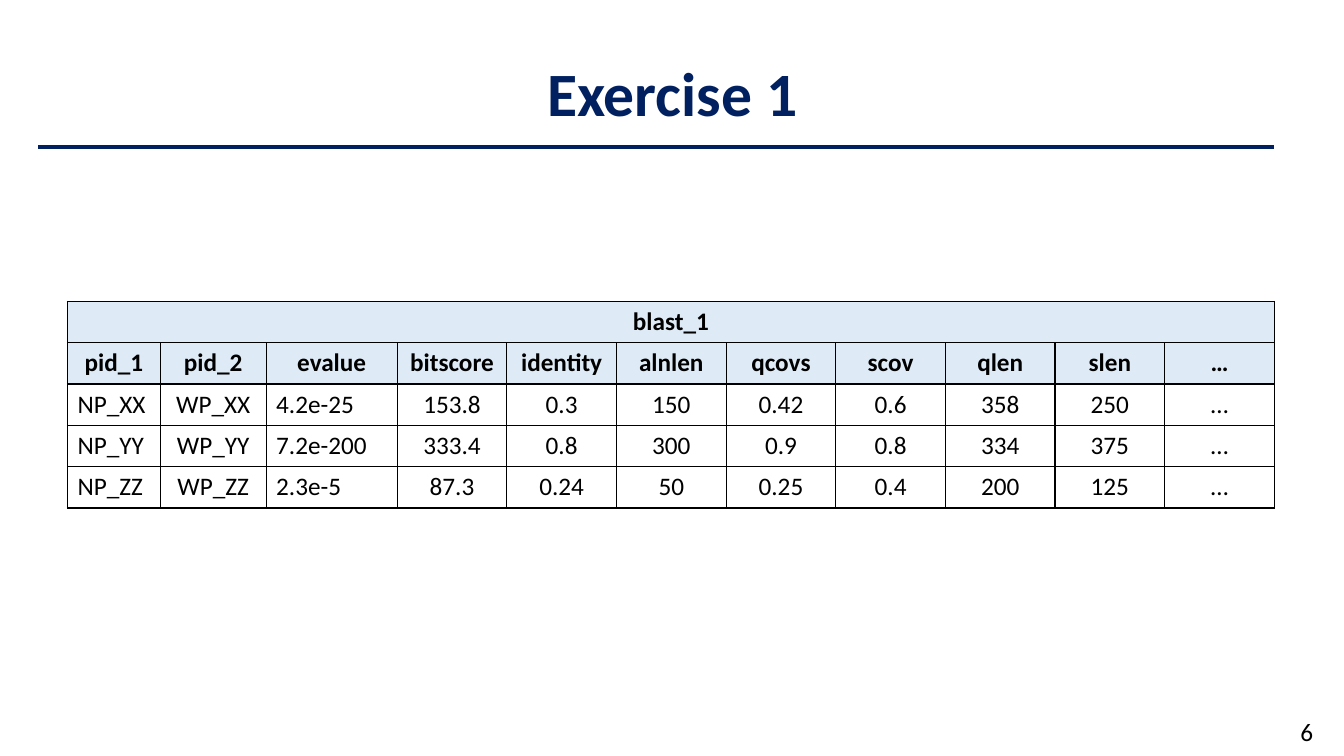
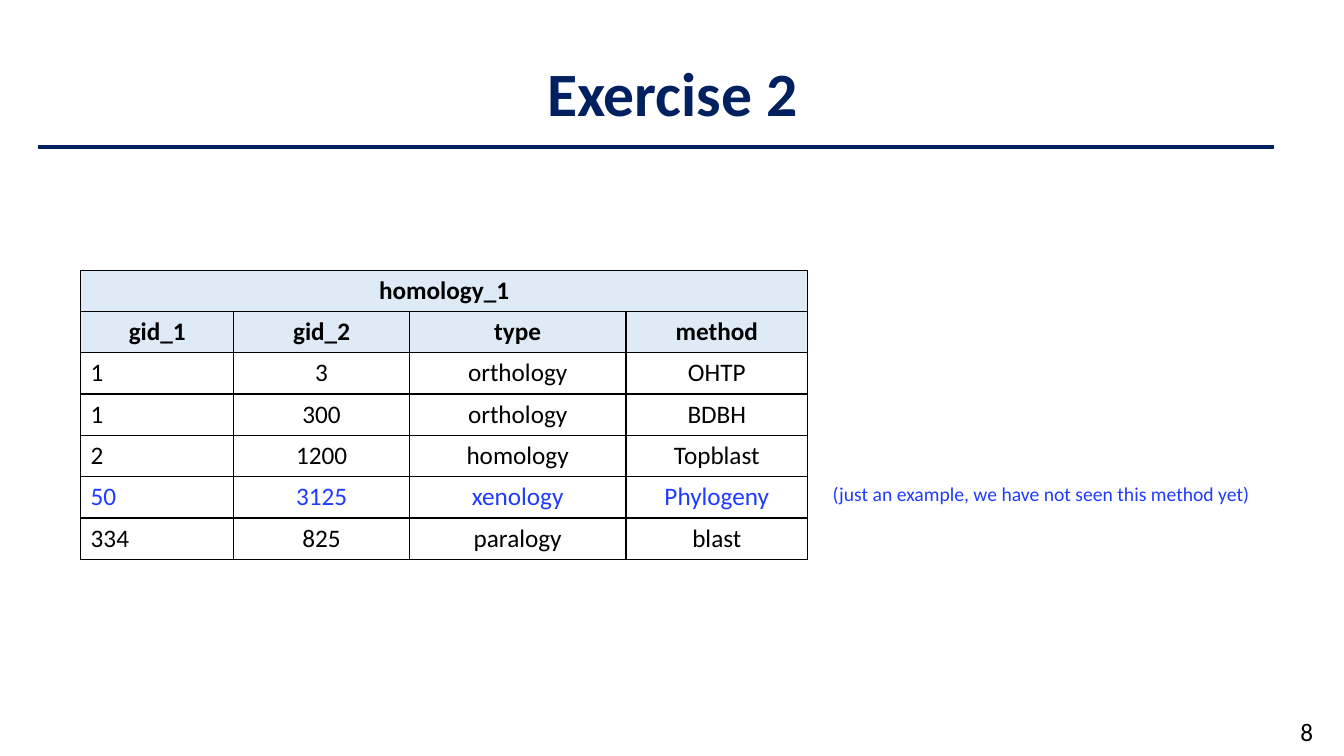
import pptx
import pptx.dml.color
import pptx.enum.shapes
import pptx.enum.text
import pptx.oxml
import pptx.oxml.ns
import pptx.util
from lxml import etree

EMU_PER_PX = 9144
SLIDE_SIZE = (1333, 750)
FONT = "Calibri"
NAVY, BLACK, BLUE, PALE_BLUE = "002060", "000000", "1F3BFF", "DEEBF7"
ROW_HEIGHT = 41
CENTER = pptx.enum.text.PP_ALIGN.CENTER
LEFT = pptx.enum.text.PP_ALIGN.LEFT
MIDDLE = pptx.enum.text.MSO_ANCHOR.MIDDLE

TITLE_BOX = (92, 23, 1150, 145)
RULE = (38, 146, 1264, 146)
NUMBER_BOX = (1280, 706, 33, 40)

BLAST_ROWS = [
    ["pid_1", "pid_2", "evalue", "bitscore", "identity", "alnlen", "qcovs", "scov", "qlen", "slen", "…"],
    ["NP_XX", "WP_XX", "4.2e-25", "153.8", "0.3", "150", "0.42", "0.6", "358", "250", "…"],
    ["NP_YY", "WP_YY", "7.2e-200", "333.4", "0.8", "300", "0.9", "0.8", "334", "375", "…"],
    ["NP_ZZ", "WP_ZZ", "2.3e-5", "87.3", "0.24", "50", "0.25", "0.4", "200", "125", "…"],
]
HOMOLOGY_ROWS = [
    ["gid_1", "gid_2", "type", "method"],
    ["1", "3", "orthology", "OHTP"],
    ["1", "300", "orthology", "BDBH"],
    ["2", "1200", "homology", "Topblast"],
    ["50", "3125", "xenology", "Phylogeny"],
    ["334", "825", "paralogy", "blast"],
]


def px(*lengths):
    """Turn px lengths into a list of EMU lengths."""
    return [pptx.util.Emu(round(length * EMU_PER_PX)) for length in lengths]


def color(hex_string):
    """Return the colour of a hex string."""
    return pptx.dml.color.RGBColor.from_string(hex_string)


def apply(target, values):
    """Set every attribute in a dict of format values."""
    for name, value in values.items():
        setattr(target, name, value)


def write(frame, text, size=18, hex_color=BLACK, bold=False, **paragraph_format):
    """Write one formatted paragraph into a text frame."""
    paragraph = frame.paragraphs[0]
    apply(paragraph, paragraph_format)
    run = paragraph.add_run()
    run.text = text
    apply(run.font, {"name": FONT, "size": pptx.util.Pt(size), "bold": bold})
    run.font.color.rgb = color(hex_color)


def add_text(slide, box, text, frame_format, **text_format):
    """Add a text box holding one paragraph."""
    frame = slide.shapes.add_textbox(*px(*box)).text_frame
    apply(frame, frame_format)
    write(frame, text, **text_format)


def add_label(slide, box, text, **text_format):
    """Add a one-line text box that fits its text."""
    fit = pptx.enum.text.MSO_AUTO_SIZE.SHAPE_TO_FIT_TEXT
    add_text(slide, box, text, {"word_wrap": False, "auto_size": fit}, **text_format)


def add_rule(slide, ends):
    """Add the line below the title."""
    straight = pptx.enum.shapes.MSO_CONNECTOR.STRAIGHT
    connector = slide.shapes.add_connector(straight, *px(*ends))
    connector.line.color.rgb = color(NAVY)
    connector.line.width = pptx.util.Pt(3)
    etree.SubElement(connector._element.spPr, pptx.oxml.ns.qn("a:effectLst"))


def add_borders(cell):
    """Draw a thin line on all four sides of a cell."""
    properties = cell._tc.get_or_add_tcPr()
    for side in ("lnL", "lnR", "lnT", "lnB"):
        properties.append(pptx.oxml.parse_xml(
            f'<a:{side} {pptx.oxml.ns.nsdecls("a")} w="{pptx.util.Pt(1)}"><a:solidFill>'
            f'<a:srgbClr val="{BLACK}"/></a:solidFill></a:{side}>'))


def add_data_table(slide, left, top, widths, name, rows, left_columns, blue_row=None):
    """Add a table with a merged name row, a heading row and data rows."""
    grid = [[name] + [""] * (len(widths) - 1)] + rows
    box = px(left, top, sum(widths), ROW_HEIGHT * len(grid))
    table = slide.shapes.add_table(len(grid), len(widths), *box).table
    apply(table, {"first_row": False, "horz_banding": False})
    for column, width in zip(table.columns, px(*widths)):
        column.width = width
    table.cell(0, 0).merge(table.cell(0, len(widths) - 1))
    for row_index, texts in enumerate(grid):
        heading = row_index < 2
        table.rows[row_index].height = px(ROW_HEIGHT)[0]
        for column_index, text in enumerate(texts):
            cell = table.cell(row_index, column_index)
            add_borders(cell)
            if heading:
                cell.fill.solid()
                cell.fill.fore_color.rgb = color(PALE_BLUE)
            else:
                cell.fill.background()
            if text:
                at_left = not heading and column_index in left_columns
                write(cell.text_frame, text, bold=heading,
                      hex_color=BLUE if row_index == blue_row else BLACK,
                      alignment=LEFT if at_left else CENTER)


def add_exercise_slide(presentation, title, number):
    """Add a slide with the shared title, rule and page number."""
    slide = presentation.slides.add_slide(presentation.slide_layouts[6])
    add_text(slide, TITLE_BOX, title, {"word_wrap": True, "vertical_anchor": MIDDLE},
             size=44, hex_color=NAVY, bold=True, alignment=CENTER, line_spacing=0.9)
    add_rule(slide, RULE)
    add_label(slide, NUMBER_BOX, number)
    return slide


def add_blast_slide(presentation):
    """Build the slide with the blast table."""
    slide = add_exercise_slide(presentation, "Exercise 1", "6")
    first_widths = [92, 105, 130]
    equal_count = len(BLAST_ROWS[0]) - len(first_widths)
    equal_width = (1197 - sum(first_widths)) / equal_count
    add_data_table(slide, 67, 299, first_widths + [equal_width] * equal_count,
                   "blast_1", BLAST_ROWS, left_columns=(0, 2))


def add_homology_slide(presentation):
    """Build the slide with the homology table and its remark."""
    slide = add_exercise_slide(presentation, "Exercise 2", "8")
    add_data_table(slide, 80, 268, [152, 174, 215, 180], "homology_1", HOMOLOGY_ROWS,
                   left_columns=(0,), blue_row=5)
    add_label(slide, (816, 473, 438, 34), "(just an example, we have not seen this method yet)",
              size=14, hex_color=BLUE)


def main():
    """Build and save the presentation."""
    presentation = pptx.Presentation()
    presentation.slide_width, presentation.slide_height = px(*SLIDE_SIZE)
    add_blast_slide(presentation)
    add_homology_slide(presentation)
    presentation.save("out.pptx")


if __name__ == "__main__":
    main()
